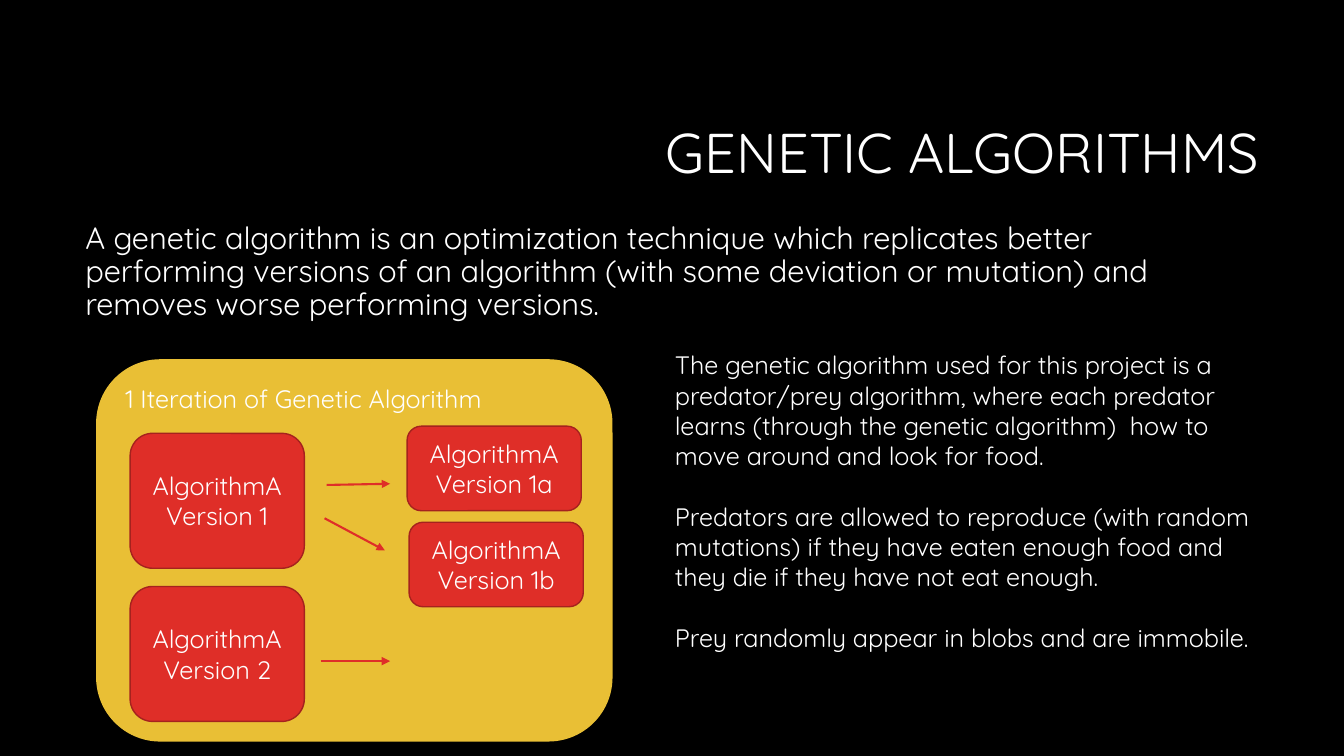
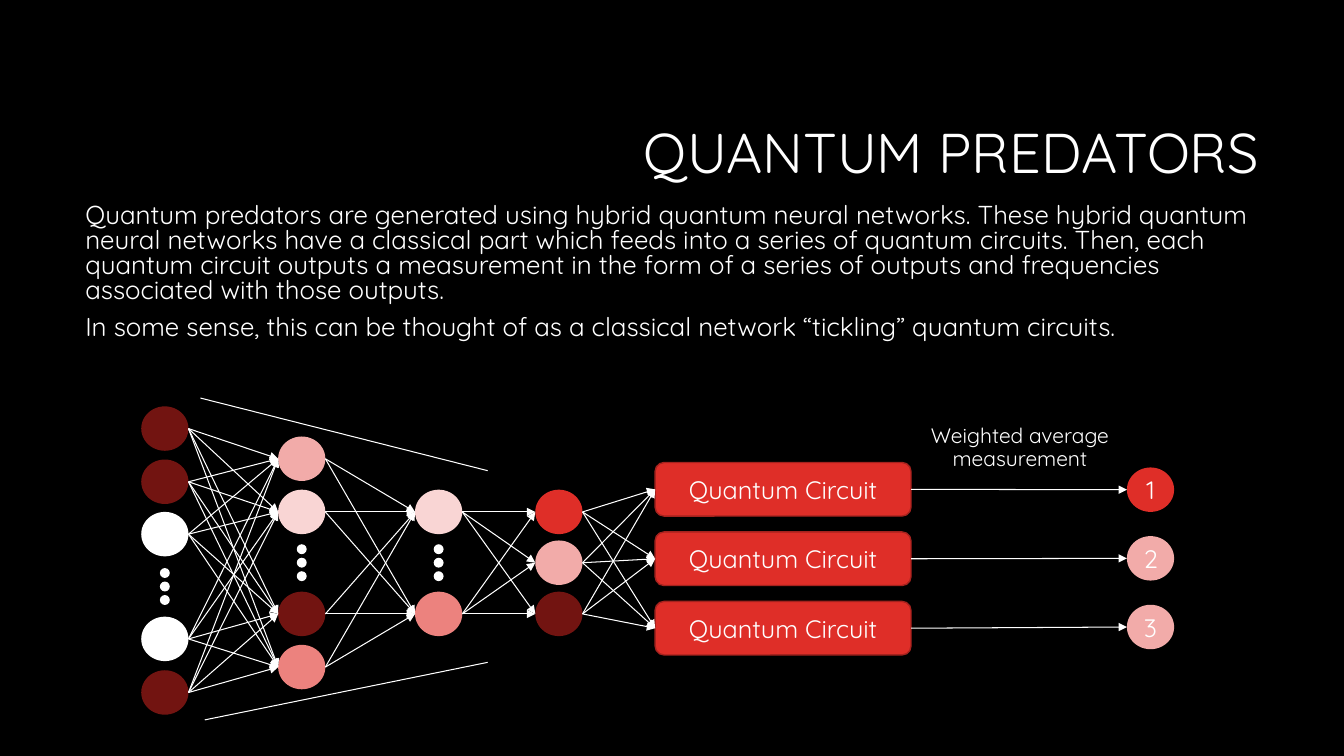
from dataclasses import dataclass
from itertools import product

from lxml.etree import SubElement
from pptx import Presentation
from pptx.dml.color import RGBColor as Rgb
from pptx.enum.shapes import MSO_CONNECTOR as Conn, MSO_SHAPE as Form
from pptx.enum.text import MSO_ANCHOR as Anchor, PP_ALIGN as Align
from pptx.oxml.ns import qn
from pptx.util import Cm, Pt


@dataclass(frozen=True)
class Theme:
    font: str = "Quicksand"
    black: str = "000000"
    white: str = "FFFFFF"
    gold: str = "E9BF35"
    red: str = "DF2E28"
    edge: str = "A5221E"
    dark: str = "721411"
    coral: str = "EC827E"
    pink: str = "F2ABA9"
    pale: str = "F9D5D4"
    head: float = 40
    lead: float = 22
    intro: float = 18.5
    body: float = 18
    note: float = 15


look = Theme()
mid = {"alignment": Align.CENTER}


def put(slide, form, box, lines=(), size=look.body, fill=None, edge=None,
        para=mid, anchor=Anchor.MIDDLE):
    place = [Cm(v) for v in box]
    if form is None:
        shape = slide.shapes.add_textbox(*place)
    else:
        shape = slide.shapes.add_shape(form, *place)
        shape.shadow.inherit = False
        shape.fill.solid()
        shape.fill.fore_color.rgb = Rgb.from_string(fill)
        if edge:
            shape.line.color.rgb = Rgb.from_string(edge)
            shape.line.width = Pt(1)
        else:
            shape.line.fill.background()
    frame = shape.text_frame
    frame.word_wrap = True
    frame.vertical_anchor = anchor
    for i, line in enumerate(lines):
        par = frame.add_paragraph() if i else frame.paragraphs[0]
        par.text = line
        for key, val in para.items():
            if i or key != "space_before":
                setattr(par, key, val)
        for key, val in {"name": look.font, "size": Pt(size)}.items():
            setattr(par.font, key, val)
        par.font.color.rgb = Rgb.from_string(look.white)


def link(slide, start, end, color=look.white, width=0.75, arrow=True):
    ends = [Cm(v) for v in (*start, *end)]
    line = slide.shapes.add_connector(Conn.STRAIGHT, *ends)
    line.line.color.rgb = Rgb.from_string(color)
    line.line.width = Pt(width)
    if arrow:
        SubElement(line.line._get_or_add_ln(), qn("a:tailEnd"), type="triangle")
    SubElement(line._element.spPr, qn("a:effectLst"))


deck = Presentation()
deck.slide_width, deck.slide_height = Cm(33.87), Cm(19.05)
back = deck.slide_master.background.fill
back.solid()
back.fore_color.rgb = Rgb.from_string(look.black)

spot = {"left": Cm(8.05), "top": Cm(2.13), "width": Cm(23.93), "height": Cm(3.58)}
slides = []
for text in ("GENETIC ALGORITHMS", "QUANTUM PREDATORS"):
    slide = deck.slides.add_slide(deck.slide_layouts[5])
    title = slide.shapes.title
    for key, val in spot.items():
        setattr(title, key, val)
    title.text_frame.text = text
    title.text_frame.vertical_anchor = Anchor.MIDDLE
    par = title.text_frame.paragraphs[0]
    for key, val in {"alignment": Align.RIGHT, "line_spacing": 0.9}.items():
        setattr(par, key, val)
    for key, val in {"name": look.font, "size": Pt(look.head)}.items():
        setattr(par.font, key, val)
    par.font.color.rgb = Rgb.from_string(look.white)
    slides.append(slide)
genes, quantum = slides

put(genes, None, (1.9, 5.49, 30.05, 3),
    ["A genetic algorithm is an optimization technique which replicates better "
     "performing versions of an algorithm (with some deviation or mutation) and "
     "removes worse performing versions."],
    look.lead, para={"line_spacing": 0.9}, anchor=Anchor.TOP)
put(genes, Form.ROUNDED_RECTANGLE, (2.44, 9.07, 12.98, 9.6),
    ["1 Iteration of Genetic Algorithm"], fill=look.gold, edge=look.gold,
    para={"alignment": Align.LEFT}, anchor=Anchor.TOP)

for name, left, top, high in (
    ("1", 3.28, 10.92, 3.4),
    ("1a", 10.26, 10.74, 2.13),
    ("1b", 10.31, 13.16, 2.13),
    ("2", 3.28, 14.78, 3.4),
):
    put(genes, Form.ROUNDED_RECTANGLE, (left, top, 4.39, high),
        ["AlgorithmA", f"Version {name}"], fill=look.red, edge=look.edge)

for start, end in (
    ((8.23, 12.22), (9.83, 12.19)),
    ((8.18, 13.06), (9.7, 13.87)),
    ((8.08, 16.66), (9.83, 16.66)),
):
    link(genes, start, end, look.red, 1.5)

put(genes, None, (16.76, 8.69, 15.54, 8.71),
    ["The genetic algorithm used for this project is a predator/prey algorithm, "
     "where each predator learns (through the genetic algorithm)  how to move "
     "around and look for food.",
     "Predators are allowed to reproduce (with random mutations) if they have "
     "eaten enough food and they die if they have not eat enough.",
     "Prey randomly appear in blobs and are immobile."],
    para={"space_before": Pt(21.6)}, anchor=Anchor.TOP)

put(quantum, None, (1.9, 5.03, 30.05, 4.09),
    ["Quantum predators are generated using hybrid quantum neural networks. "
     "These hybrid quantum neural networks have a classical part which feeds "
     "into a series of quantum circuits. Then, each quantum circuit outputs a "
     "measurement in the form of a series of outputs and frequencies associated "
     "with those outputs.",
     "In some sense, this can be thought of as a classical network “tickling” "
     "quantum circuits."],
    look.intro, para={"line_spacing": 0.8, "space_before": Pt(9)},
    anchor=Anchor.TOP)

wide, high, dot, step = 1.19, 1.12, 0.25, 0.34
layers = (
    (3.56, (10.8, 12.14, 13.46, 16.1, 17.45),
     (look.dark, look.dark, look.white, look.white, look.dark), 14.78),
    (7.01, (11.56, 12.9, 15.47, 16.81),
     (look.pink, look.pale, look.dark, look.coral), 14.18),
    (10.46, (12.9, 15.47), (look.pale, look.coral), 14.18),
    (13.49, (12.9, 14.18, 15.47), (look.red, look.pink, look.dark), None),
)
for left, rows, fills, gap in layers:
    for row, fill in zip(rows, fills):
        put(quantum, Form.OVAL, (left, row - high / 2, wide, high), fill=fill)
    if gap:
        for i in (-1, 0, 1):
            put(quantum, Form.OVAL,
                (left + (wide - dot) / 2, gap + i * step - dot / 2, dot, dot),
                fill=look.white)

gate, span, tall, goal = 16.51, 6.45, 1.35, 28.4
gates = [12.33 + 1.75 * i for i in range(3)]
goals = [12.34 + 1.73 * i for i in range(3)]
for row in gates:
    put(quantum, Form.ROUNDED_RECTANGLE, (gate, row - tall / 2, span, tall),
        ["Quantum Circuit"], fill=look.red, edge=look.edge)
for i, (row, fill) in enumerate(zip(goals, (look.red, look.pink, look.pink)), 1):
    put(quantum, Form.OVAL, (goal, row - high / 2, wide, high), [str(i)], fill=fill)

stops = [(left, rows) for left, rows, *rest in layers] + [(gate, gates)]
for (left, rows), (right, ends) in zip(stops, stops[1:]):
    for row, end in product(rows, ends):
        link(quantum, (left + wide, row), (right, end))
for row, end in zip(gates, goals):
    link(quantum, (gate + span, row), (goal, end))
for start, end in (((5.05, 10.03), (12.29, 11.86)), ((5.16, 18.14), (12.29, 16.69))):
    link(quantum, start, end, arrow=False)

put(quantum, None, (22.96, 10.59, 5.49, 1.8), ["Weighted average measurement"],
    look.note, para={**mid, "line_spacing": 0.9}, anchor=Anchor.TOP)

deck.save("out.pptx")
